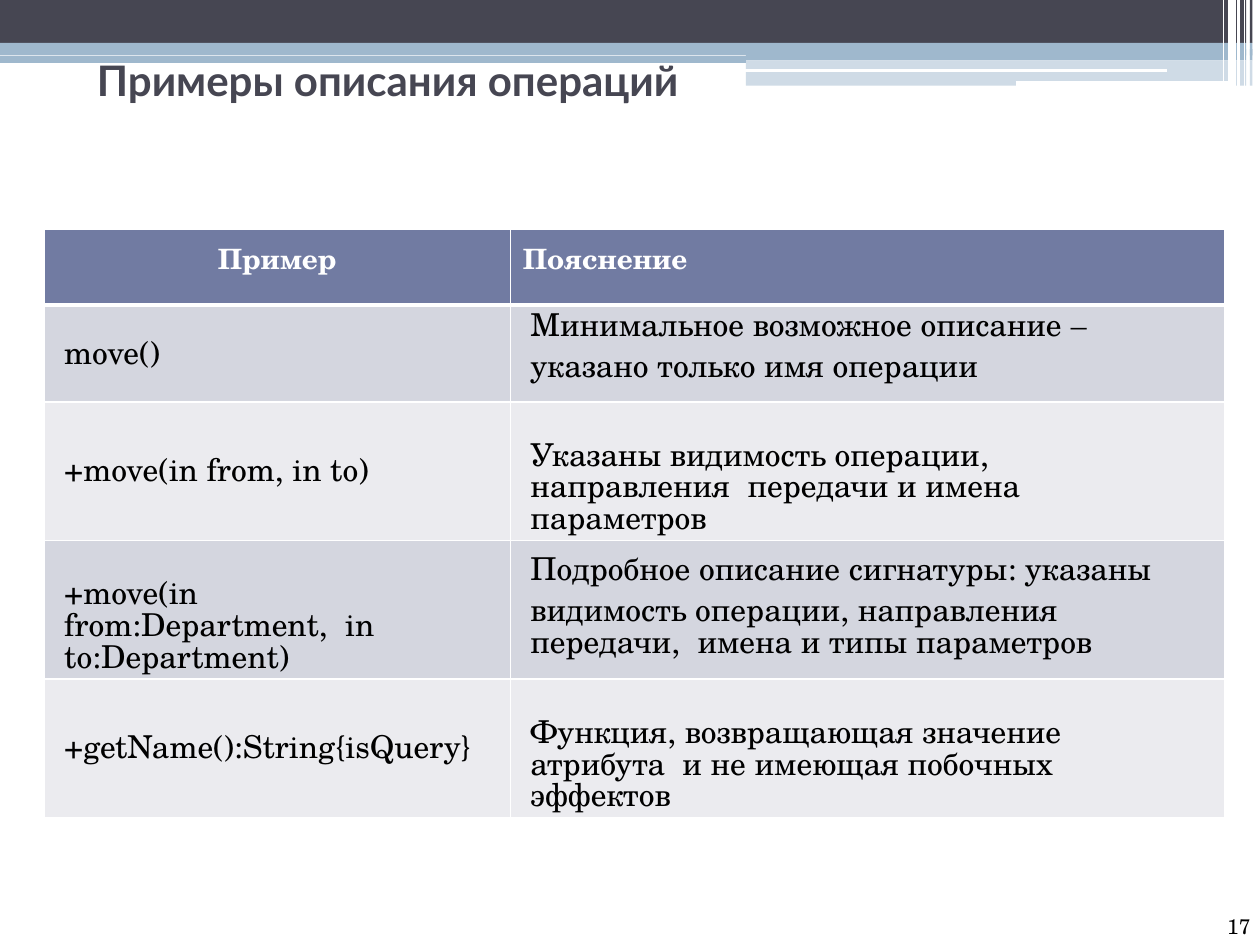
from lxml import etree
from pptx import Presentation
from pptx.dml.color import RGBColor
from pptx.enum.shapes import MSO_CONNECTOR, MSO_SHAPE
from pptx.enum.text import PP_ALIGN
from pptx.oxml.ns import qn
from pptx.util import Inches, Pt

DARK, BLUE, PALE, WHITE = "464652", "9FB8CD", "CFDBE6", "FFFFFF"
HEADER, ODD, EVEN = "717BA2", "D4D6DF", "EBEBEF"
SERIF = "TeX Gyre Schola"


def color(hex_text):
    """Turn a hex string into a colour."""
    return RGBColor.from_string(hex_text)


def write(frame, text, font=SERIF, size=18, ink="000000", bold=False,
          align=PP_ALIGN.LEFT, line=None, gap=0, margins=(0, 0, 0, 0)):
    """Fill a text frame or cell, one paragraph per line of text."""
    (frame.margin_left, frame.margin_top,
     frame.margin_right, frame.margin_bottom) = map(Inches, margins)
    body = getattr(frame, "text_frame", frame)
    body.word_wrap = True
    body.text = text
    for index, para in enumerate(body.paragraphs):
        para.alignment = align
        para.space_before = Pt(gap if index else 0)
        if line:
            para.line_spacing = Pt(line)
        for span in para.runs:
            span.font.name = font
            span.font.size = Pt(size)
            span.font.bold = bold
            span.font.color.rgb = color(ink)


deck = Presentation()
deck.slide_width, deck.slide_height = Inches(10), Inches(7.5)
page = deck.slides.add_slide(deck.slide_layouts[6])

# Header bands, each continued by a thin strip at the right edge
bands = [
    (0, 0, 0.34, DARK),
    (0, 0.34, 0.1, BLUE),
    (5.92, 0.39, 0.09, BLUE),
    (5.92, 0.48, 0.2, PALE),
]
for left, top, height, fill in bands:
    for start, end in ((left, 9.89), (9.92, 9.94)):
        band = page.shapes.add_shape(
            MSO_SHAPE.RECTANGLE, Inches(start), Inches(top),
            Inches(end - start), Inches(height))
        band.shadow.inherit = False
        band.fill.solid()
        band.fill.fore_color.rgb = color(fill)
        band.line.fill.background()

rules = [
    (0, 0.47, 5.92, 0.47, 4.06, BLUE),
    (5.91, 0.56, 9.26, 0.56, 2.16, WHITE),
    (8.06, 0.66, 9.81, 0.66, 2.88, WHITE),
    (9.88, 0, 9.88, 0.68, 0.72, WHITE),
    (9.83, 0, 9.83, 0.68, 2.16, WHITE),
    (9.78, 0, 9.78, 0.64, 4.32, WHITE),
    (9.71, 0, 9.71, 0.64, 0.72, WHITE),
]
for x1, y1, x2, y2, width, ink in rules:
    rule = page.shapes.add_connector(
        MSO_CONNECTOR.STRAIGHT, Inches(x1), Inches(y1), Inches(x2), Inches(y2))
    rule.line.width = Pt(width)
    rule.line.color.rgb = color(ink)
    etree.SubElement(rule._element.spPr, qn("a:effectLst"))

title = page.shapes.add_textbox(Inches(0.76), Inches(0.42), Inches(4.79), Inches(0.43))
write(title.text_frame, "Примеры описания операций", font="Lato", size=24,
      ink=DARK, bold=True, margins=(0.01, 0.01, 0, 0))

# Each cell: text, top margin, right margin, line spacing
rows = [
    [("Пример", 0.06, 0, None), ("Пояснение", 0.06, 0, None)],
    [("move()", 0.19, 0, None),
     ("Минимальное возможное описание \nуказано только имя операции", 0.08, 0.35, 18.3)],
    [("+move(in from, in to)", 0.35, 0, None),
     ("Указаны видимость операции, направления  передачи и имена параметров",
      0.34, 0.35, 18.2)],
    [("+move(in from:Department,  in to:Department)", 0.34, 0.6, 18.2),
     ("Подробное описание сигнатуры: указаны\n"
      "видимость операции, направления передачи,  имена и типы параметров",
      0.15, 0.35, 18.3)],
    [("+getName():String{isQuery}", 0.35, 0, None),
     ("Функция, возвращающая значение атрибута  и не имеющая побочных эффектов",
      0.34, 0.35, 18.2)],
]
table = page.shapes.add_table(
    5, 2, Inches(0.35), Inches(1.82), Inches(9.37), Inches(4.67)).table
for column, width in zip(table.columns, (3.7, 5.67)):
    column.width = Inches(width)
for row, height in zip(table.rows, (0.6, 0.77, 1.1, 1.1, 1.1)):
    row.height = Inches(height)

for r, cells in enumerate(rows):
    for c, (text, top, right, line) in enumerate(cells):
        cell = table.cell(r, c)
        if r == 0:
            write(cell, text, size=16, ink=WHITE, bold=True,
                  align=PP_ALIGN.LEFT if c else PP_ALIGN.CENTER,
                  margins=(0.1 * c, top, right, 0))
        else:
            write(cell, text, line=line, gap=5, margins=(0.16, top, right, 0))
        # Borders come before the fill in the cell properties
        for side in ("lnL", "lnR", "lnT", "lnB"):
            thick = (r, side) in ((0, "lnB"), (1, "lnT"))
            border = etree.SubElement(cell._tc.get_or_add_tcPr(), qn("a:" + side),
                                      w=str(Pt(3 if thick else 1)))
            paint = etree.SubElement(border, qn("a:solidFill"))
            etree.SubElement(paint, qn("a:srgbClr"), val=WHITE)
        cell.fill.solid()
        cell.fill.fore_color.rgb = color(HEADER if r == 0 else ODD if r % 2 else EVEN)

dash = table.cell(1, 1).text_frame.paragraphs[0].add_run()
dash.text = "‒"
dash.font.name = "Times New Roman"
dash.font.size = Pt(18)
dash.font.color.rgb = color("000000")

number = page.shapes.add_textbox(Inches(9.68), Inches(7.25), Inches(0.25), Inches(0.22))
write(number.text_frame, "17", size=12, margins=(0.06, 0, 0, 0))

deck.save("out.pptx")
